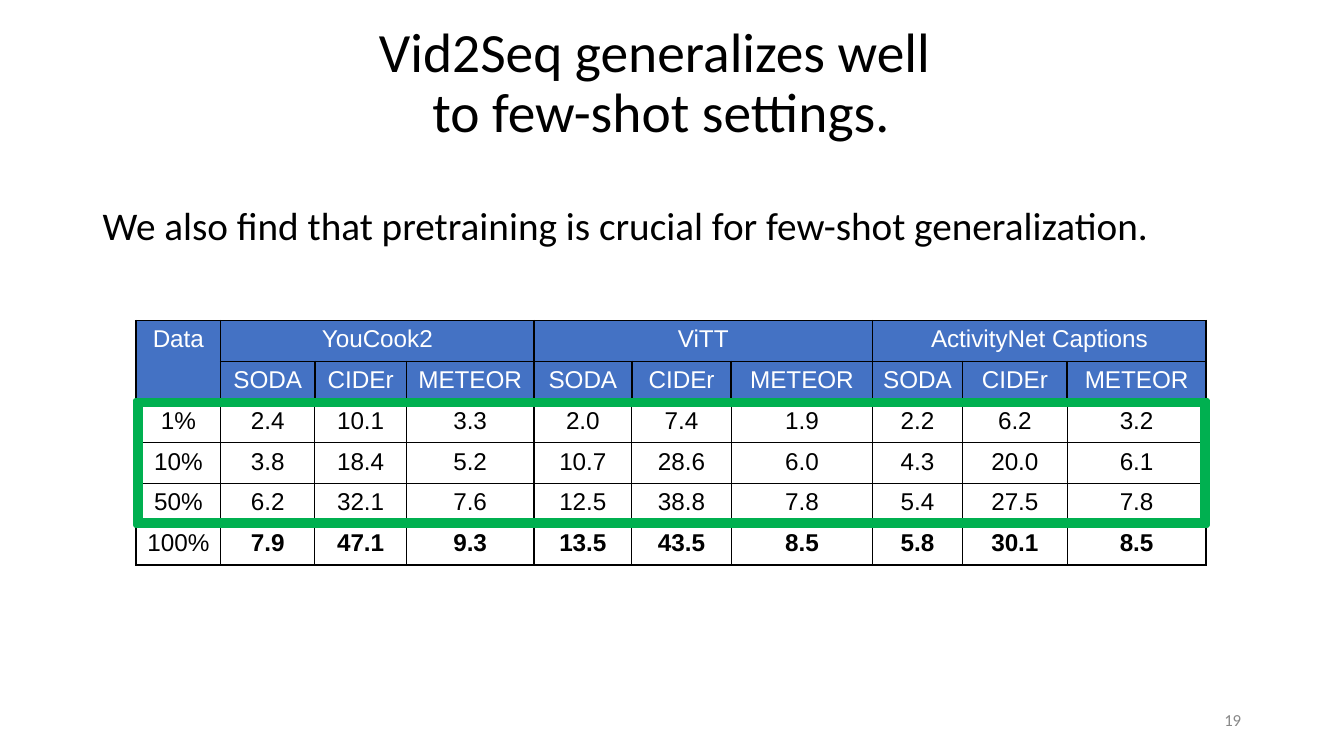
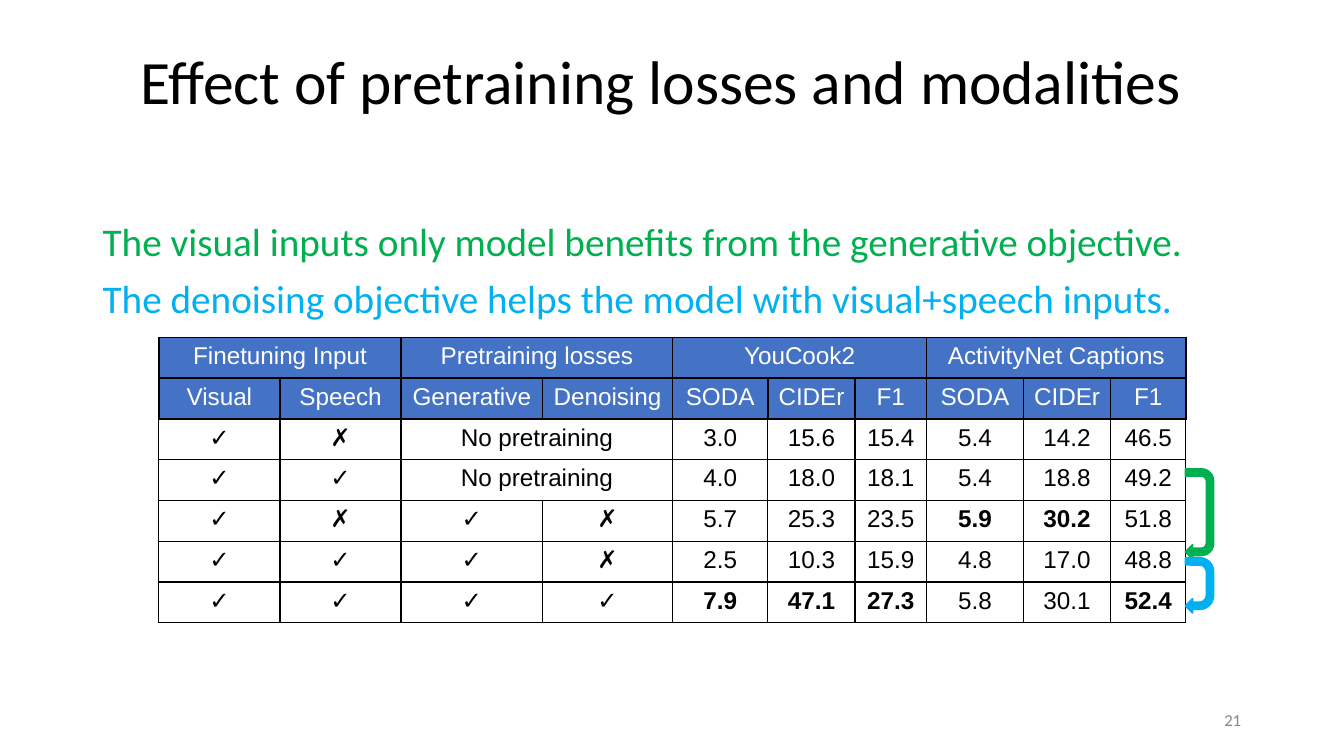
from dataclasses import dataclass
from typing import Any

from lxml.etree import SubElement
from pptx import Presentation
from pptx.dml.color import RGBColor
from pptx.enum.shapes import MSO_SHAPE
from pptx.enum.text import MSO_ANCHOR, MSO_AUTO_SIZE, PP_ALIGN
from pptx.oxml.ns import qn
from pptx.presentation import Presentation as Deck
from pptx.slide import Slide
from pptx.table import Table, _Cell
from pptx.text.text import TextFrame
from pptx.util import Cm, Pt

COLORS = {
    "text": "000000",
    "header": "4472C4",
    "header_text": "FFFFFF",
    "border": "000000",
    "green": "00B050",
    "blue": "00B0F0",
    "number": "888888",
}
TITLE_ONLY = 5
HEADER_ROWS = 2
ROW_HEIGHT = 0.77
BODY_FONT = "Calibri"
FRAME_FORMAT = {
    "word_wrap": True,
    "auto_size": MSO_AUTO_SIZE.NONE,
    "margin_left": Cm(0.19),
    "margin_right": Cm(0.19),
    "margin_top": Cm(0.1),
    "margin_bottom": Cm(0.1),
}
CELL_FORMAT = {
    "vertical_anchor": MSO_ANCHOR.TOP,
    "margin_left": Cm(0.2),
    "margin_right": Cm(0.2),
    "margin_top": Cm(0.1),
    "margin_bottom": Cm(0.1),
}
PLAIN_TABLE = {"first_row": False, "horz_banding": False}


@dataclass(frozen=True)
class Box:
    """Position and size in centimetres."""
    left: float
    top: float
    width: float
    height: float

    def lengths(self) -> tuple[Cm, Cm, Cm, Cm]:
        return Cm(self.left), Cm(self.top), Cm(self.width), Cm(self.height)


@dataclass(frozen=True)
class Line:
    text: str
    color: str = "text"


@dataclass(frozen=True)
class Results:
    """Rows use | between cells, * for bold, < and ^ for a cell merged left or up."""
    left: float
    top: float
    widths: tuple[float, ...]
    rows: tuple[str, ...]


@dataclass(frozen=True)
class Mark:
    """A shape that points out rows of the results."""
    kind: MSO_SHAPE
    box: Box
    adjustments: tuple[float, ...]
    fill: str
    line: str
    weight: float
    rotation: float = 0


@dataclass(frozen=True)
class Page:
    title: str
    title_size: float
    findings: tuple[Line, ...]
    findings_box: Box
    results: Results
    marks: tuple[Mark, ...]
    number: int


TITLE_BOX = Box(1.32, 0.56, 22.35, 2.08)
NUMBER_BOX = Box(17.93, 13.23, 5.72, 0.76)
U_TURN = (0.25, 0.25, 0.25)

PAGES = (
    Page(
        title="Vid2Seq generalizes well \vto few-shot settings.",
        title_size=29.7,
        findings=(Line("We also find that pretraining is crucial for few-shot generalization."),),
        findings_box=Box(1.75, 3.81, 21.89, 1.17),
        results=Results(
            2.57, 6.06,
            (1.6, 1.78, 1.73, 2.41, 1.85, 1.88, 2.67, 1.7, 1.98, 2.62),
            (
                "Data|YouCook2|<|<|ViTT|<|<|ActivityNet Captions|<|<",
                "^|SODA|CIDEr|METEOR|SODA|CIDEr|METEOR|SODA|CIDEr|METEOR",
                "1%|2.4|10.1|3.3|2.0|7.4|1.9|2.2|6.2|3.2",
                "10%|3.8|18.4|5.2|10.7|28.6|6.0|4.3|20.0|6.1",
                "50%|6.2|32.1|7.6|12.5|38.8|7.8|5.4|27.5|7.8",
                "100%|*7.9|*47.1|*9.3|*13.5|*43.5|*8.5|*5.8|*30.1|*8.5",
            ),
        ),
        marks=(
            Mark(MSO_SHAPE.FRAME, Box(2.57, 7.57, 20.24, 2.36), (0.034,), "blue", "green", 3),
        ),
        number=19,
    ),
    Page(
        title="Effect of pretraining losses and modalities",
        title_size=33,
        findings=(
            Line("The visual inputs only model benefits from the generative objective.", "green"),
            Line("The denoising objective helps the model with visual+speech inputs.", "blue"),
        ),
        findings_box=Box(1.75, 4.11, 21.89, 2.36),
        results=Results(
            3, 6.38,
            (2.29, 2.29, 2.67, 2.46, 1.8, 1.65, 1.35, 1.83, 1.65, 1.42),
            (
                "Finetuning Input|<|Pretraining losses|<|YouCook2|<|<|ActivityNet Captions|<|<",
                "Visual|Speech|Generative|Denoising|SODA|CIDEr|F1|SODA|CIDEr|F1",
                "✓|✗|No pretraining|<|3.0|15.6|15.4|5.4|14.2|46.5",
                "✓|✓|No pretraining|<|4.0|18.0|18.1|5.4|18.8|49.2",
                "✓|✗|✓|✗|5.7|25.3|23.5|*5.9|*30.2|51.8",
                "✓|✓|✓|✗|2.5|10.3|15.9|4.8|17.0|48.8",
                "✓|✓|✓|✓|*7.9|*47.1|*27.3|5.8|30.1|*52.4",
            ),
        ),
        marks=(
            Mark(MSO_SHAPE.U_TURN_ARROW, Box(21.82, 9.45, 1.7, 0.53),
                 (*U_TURN, 0.438, 1), "green", "green", 1, 90),
            Mark(MSO_SHAPE.U_TURN_ARROW, Box(22.15, 10.8, 1.04, 0.53),
                 (*U_TURN, 0.5, 1), "blue", "blue", 1, 90),
        ),
        number=21,
    ),
)


def rgb(color: str) -> RGBColor:
    return RGBColor.from_string(COLORS[color])


def apply_format(target: Any, values: dict[str, Any]) -> None:
    for attribute, value in values.items():
        setattr(target, attribute, value)


def write_lines(frame: TextFrame, lines: tuple[Line, ...], font: dict[str, Any],
                paragraph_format: dict[str, Any]) -> None:
    for index, line in enumerate(lines):
        paragraph = frame.add_paragraph() if index else frame.paragraphs[0]
        paragraph.text = line.text
        apply_format(paragraph, paragraph_format)
        paragraph.space_before = Pt(8 if index else 0)
        for run in paragraph.runs:
            apply_format(run.font, font)
            run.font.color.rgb = rgb(line.color)


def add_title(slide: Slide, page: Page) -> None:
    title = slide.shapes.title
    places = ("left", "top", "width", "height")
    apply_format(title, dict(zip(places, TITLE_BOX.lengths())))
    apply_format(title.text_frame, FRAME_FORMAT | {"vertical_anchor": MSO_ANCHOR.MIDDLE})
    write_lines(title.text_frame, (Line(page.title),),
                {"size": Pt(page.title_size), "name": BODY_FONT},
                {"alignment": PP_ALIGN.CENTER, "line_spacing": 0.9})


def add_text(slide: Slide, box: Box, lines: tuple[Line, ...], size: float,
             anchor: MSO_ANCHOR, paragraph_format: dict[str, Any]) -> None:
    frame = slide.shapes.add_textbox(*box.lengths()).text_frame
    apply_format(frame, FRAME_FORMAT | {"vertical_anchor": anchor})
    write_lines(frame, lines, {"size": Pt(size), "name": BODY_FONT}, paragraph_format)


def add_borders(cell: _Cell, weight: float) -> None:
    properties = cell._tc.get_or_add_tcPr()
    for side in ("a:lnL", "a:lnR", "a:lnT", "a:lnB"):
        border = SubElement(properties, qn(side), w=str(Pt(weight)))
        fill = SubElement(border, qn("a:solidFill"))
        SubElement(fill, qn("a:srgbClr"), val=COLORS["border"])


def fill_cell(cell: _Cell, entry: str, is_header: bool) -> None:
    apply_format(cell, CELL_FORMAT)
    add_borders(cell, 1 if is_header else 0.75)
    if is_header:
        cell.fill.solid()
        cell.fill.fore_color.rgb = rgb("header")
    else:
        cell.fill.background()
    if entry not in ("<", "^"):
        line = Line(entry.lstrip("*"), "header_text" if is_header else "text")
        write_lines(cell.text_frame, (line,),
                    {"size": Pt(13), "name": "Arial", "bold": entry.startswith("*")},
                    {"alignment": PP_ALIGN.CENTER})


def merge_spans(table: Table, grid: list[list[str]]) -> None:
    for r, entries in enumerate(grid):
        for c, entry in enumerate(entries):
            if entry in ("<", "^"):
                continue
            right, bottom = c, r
            while right + 1 < len(entries) and entries[right + 1] == "<":
                right += 1
            while bottom + 1 < len(grid) and grid[bottom + 1][c] == "^":
                bottom += 1
            if (right, bottom) != (c, r):
                table.cell(r, c).merge(table.cell(bottom, right))


def add_results(slide: Slide, results: Results) -> None:
    grid = [row.split("|") for row in results.rows]
    box = Box(results.left, results.top, sum(results.widths), ROW_HEIGHT * len(grid))
    table = slide.shapes.add_table(len(grid), len(results.widths), *box.lengths()).table
    apply_format(table, PLAIN_TABLE)
    for column, width in zip(table.columns, results.widths):
        column.width = Cm(width)
    for r, entries in enumerate(grid):
        table.rows[r].height = Cm(ROW_HEIGHT)
        for c, entry in enumerate(entries):
            fill_cell(table.cell(r, c), entry, r < HEADER_ROWS)
    merge_spans(table, grid)


def add_mark(slide: Slide, mark: Mark) -> None:
    shape = slide.shapes.add_shape(mark.kind, *mark.box.lengths())
    shape.shadow.inherit = False
    shape.rotation = mark.rotation
    for index, value in enumerate(mark.adjustments):
        shape.adjustments[index] = value
    shape.fill.solid()
    shape.fill.fore_color.rgb = rgb(mark.fill)
    shape.line.color.rgb = rgb(mark.line)
    shape.line.width = Pt(mark.weight)


def add_page(deck: Deck, page: Page) -> None:
    slide = deck.slides.add_slide(deck.slide_layouts[TITLE_ONLY])
    add_title(slide, page)
    add_results(slide, page.results)
    for mark in page.marks:
        add_mark(slide, mark)
    add_text(slide, page.findings_box, page.findings, 21, MSO_ANCHOR.TOP,
             {"alignment": PP_ALIGN.LEFT, "line_spacing": 0.9})
    add_text(slide, NUMBER_BOX, (Line(str(page.number), "number"),), 9, MSO_ANCHOR.MIDDLE,
             {"alignment": PP_ALIGN.RIGHT})


def main() -> None:
    deck = Presentation()
    apply_format(deck, {"slide_width": Cm(25.4), "slide_height": Cm(14.29)})
    for page in PAGES:
        add_page(deck, page)
    deck.save("out.pptx")


if __name__ == "__main__":
    main()
